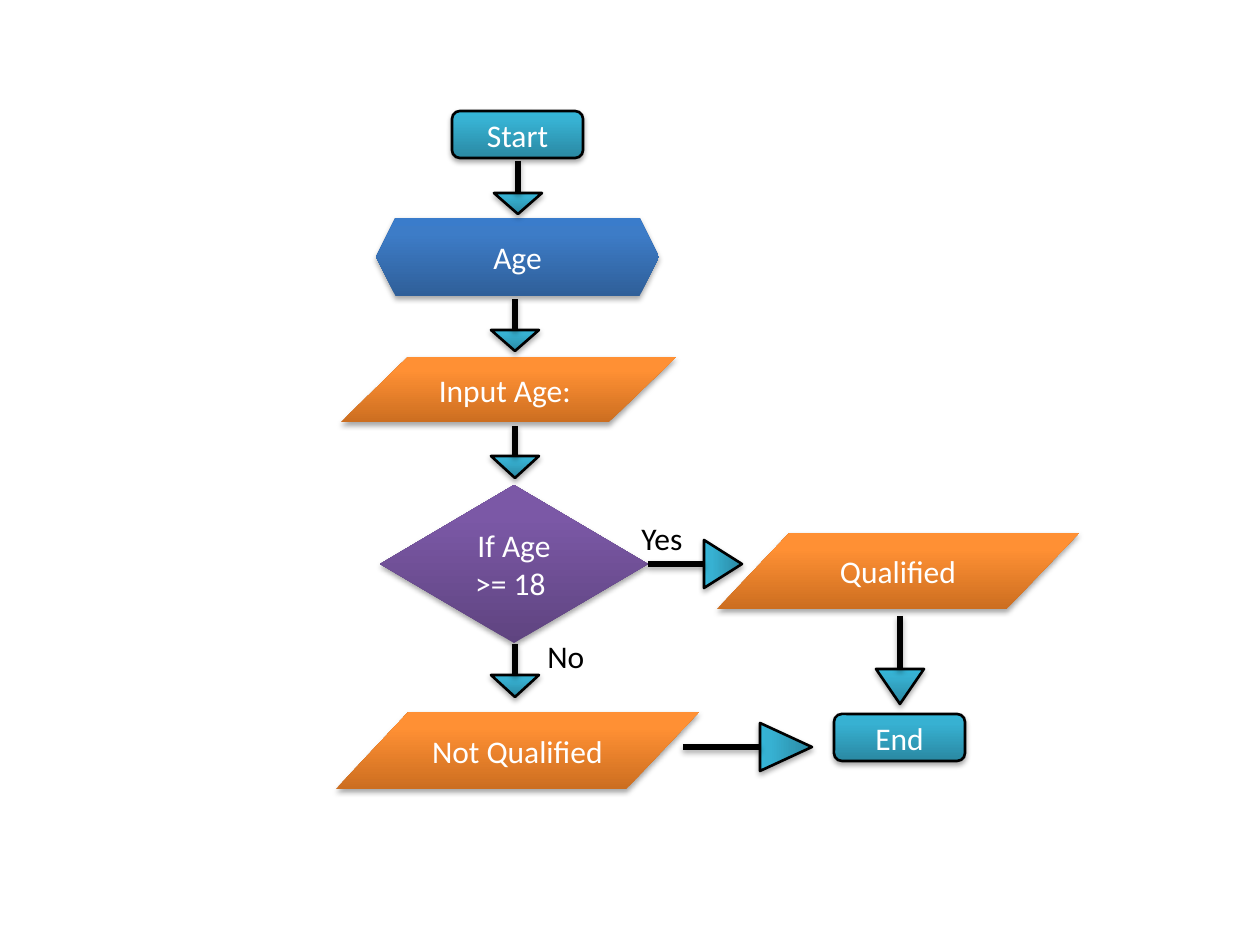
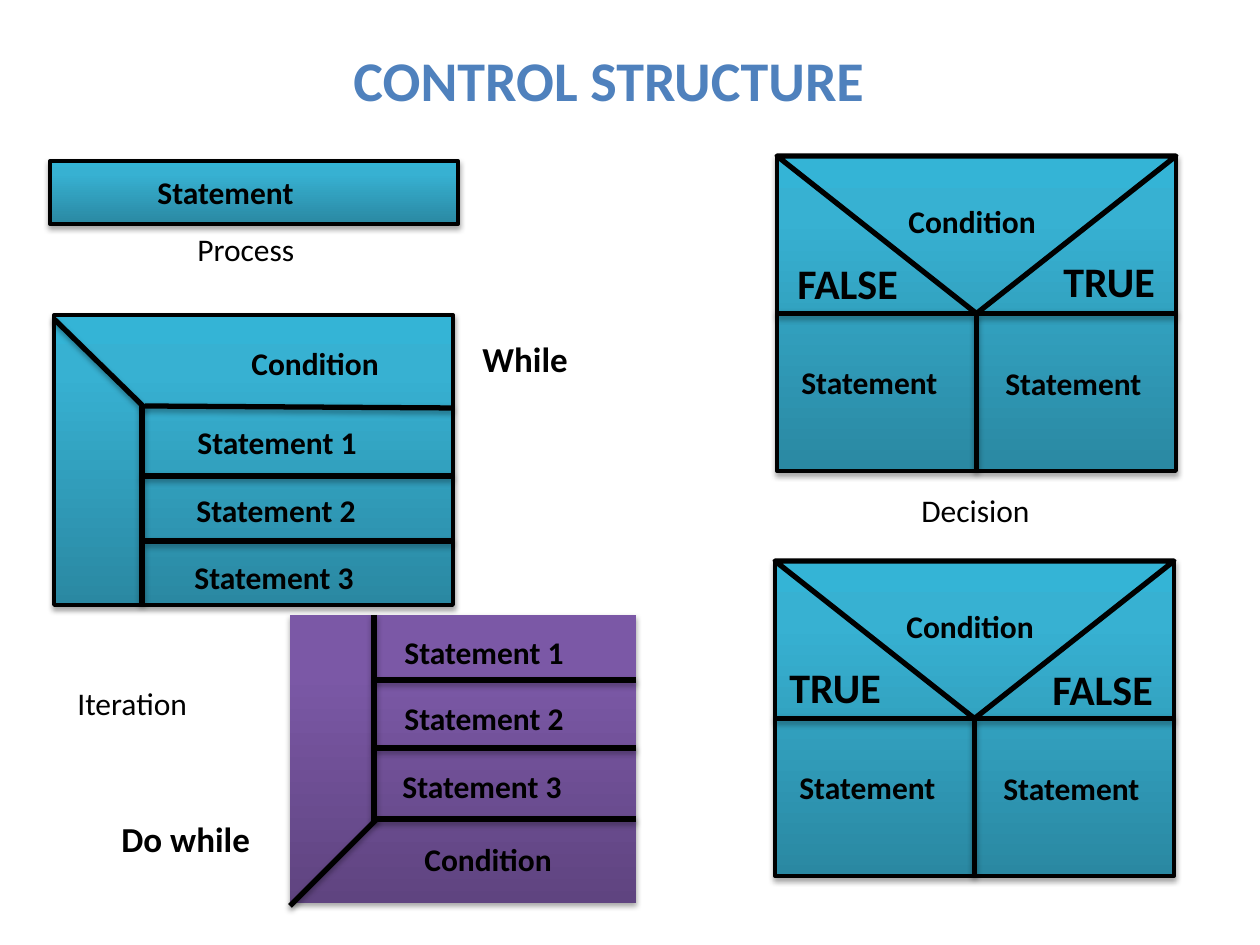
import copy
from dataclasses import dataclass

import pptx
import pptx.util
import pptx.dml.color
import pptx.enum.shapes
import pptx.enum.text
import pptx.oxml.ns
from lxml import etree

FORM = pptx.enum.shapes.MSO_SHAPE
ALIGN = pptx.enum.text.PP_ALIGN
qn = pptx.oxml.ns.qn


@dataclass(frozen=True)
class Theme:
    font: str = "Calibri"
    ink: str = "000000"
    light: str = "FFFFFF"
    title: str = "4F81BD"
    blue: tuple = ("2F5F99", "3D7CC7", "3A7CCB")
    teal: tuple = ("2A88A2", "37B1D2", "34B4D6")
    orange: tuple = ("CC6E20", "FF9034", "FF9136")
    purple: tuple = ("5F4480", "7B58A6", "7C57A8")
    stops: tuple = (0, 0.8, 1)
    body: int = 18
    label: int = 20
    flag: int = 24
    head: int = 32
    thin: float = 1.5
    edge: float = 2.25
    rule: float = 3


THEME = Theme()


def px(count):
    return round(count * 914400 / 126)


def rgb(code):
    return pptx.dml.color.RGBColor.from_string(code)


def shade(item):
    effects = etree.SubElement(item._element.spPr, qn("a:effectLst"))
    outer = etree.SubElement(effects, qn("a:outerShdw"), blurRad="40000",
                             dist="23000", dir="5400000", rotWithShape="0")
    color = etree.SubElement(outer, qn("a:srgbClr"), val=THEME.ink)
    etree.SubElement(color, qn("a:alpha"), val="35000")


def paint(shape, colors):
    fill = shape.fill
    fill.gradient()
    fill.gradient_angle = 90
    stops = shape._element.spPr.find(qn("a:gradFill")).find(qn("a:gsLst"))
    stops.append(copy.deepcopy(stops[0]))
    for stop, place, color in zip(fill.gradient_stops, THEME.stops, colors):
        stop.position = place
        stop.color.rgb = rgb(color)


def stroke(line, width):
    line.color.rgb = rgb(THEME.ink)
    line.width = pptx.util.Pt(width)


def write(frame, words, size, color, bold=False, align=ALIGN.LEFT):
    frame.word_wrap = True
    para = frame.paragraphs[0]
    para.text = words
    para.alignment = align
    para.font.name = THEME.font
    para.font.size = pptx.util.Pt(size)
    para.font.bold = bold
    para.font.color.rgb = rgb(color)


def shape(slide, form, box, colors=None, width=None, words=None):
    item = slide.shapes.add_shape(form, *map(px, box))
    if width:
        stroke(item.line, width)
    else:
        item.line.fill.background()
    if colors:
        paint(item, colors)
        shade(item)
    else:
        item.fill.background()
        item.shadow.inherit = False
    if words:
        write(item.text_frame, words, THEME.body, THEME.light, align=ALIGN.CENTER)
    return item


def note(slide, words, box, size=THEME.body, bold=True, color=THEME.ink):
    frame = slide.shapes.add_textbox(*map(px, box)).text_frame
    write(frame, words, size, color, bold)
    frame.auto_size = pptx.enum.text.MSO_AUTO_SIZE.SHAPE_TO_FIT_TEXT


def rule(slide, start, end):
    line = slide.shapes.add_connector(
        pptx.enum.shapes.MSO_CONNECTOR.STRAIGHT, *map(px, start + end))
    stroke(line.line, THEME.rule)
    shade(line)
    return line


def down(slide, x, start, neck, tip):
    head = shape(slide, FORM.FLOWCHART_MERGE, (x - 24, neck, 48, tip - neck),
                 THEME.teal, THEME.thin)
    rule(slide, (x, start), (x, neck)).end_connect(head, 0)


def right(slide, y, start, neck, tip):
    size = tip - neck
    head = shape(slide, FORM.FLOWCHART_MERGE,
                 ((neck + tip - 48) // 2, y - size // 2, 48, size),
                 THEME.teal, THEME.thin)
    head.rotation = 270
    return rule(slide, (start, y), (neck, y))


def flow(slide):
    pill, slant = FORM.FLOWCHART_ALTERNATE_PROCESS, FORM.FLOWCHART_DATA
    nodes = {}
    for words, form, box, colors, width in (
        ("Age", FORM.HEXAGON, (376, 218, 283, 78), THEME.blue, None),
        ("Start", pill, (452, 111, 131, 47), THEME.teal, THEME.thin),
        ("Input Age: ", slant, (341, 357, 335, 65), THEME.orange, None),
        ("If Age >= 18 ", FORM.FLOWCHART_DECISION, (380, 485, 268, 158),
         THEME.purple, None),
        ("End", pill, (834, 714, 131, 47), THEME.teal, THEME.thin),
        ("Qualified", slant, (717, 533, 362, 76), THEME.orange, None),
        ("Not Qualified", slant, (336, 712, 363, 77), THEME.orange, None),
    ):
        nodes[words] = shape(slide, form, box, colors, width, words)
    for stem in ((518, 161, 193, 214), (515, 299, 330, 351), (515, 426, 456, 478),
                 (515, 644, 675, 697), (900, 616, 669, 704)):
        down(slide, *stem)
    right(slide, 564, 648, 704, 742).begin_connect(nodes["If Age >= 18 "], 3)
    right(slide, 747, 683, 760, 812)
    note(slide, "Yes", (629, 513, 78, 50), bold=False)
    note(slide, "No", (535, 631, 67, 50), bold=False)


def loop(slide, box, colors, width, lines, words):
    left, top = box[:2]
    shape(slide, FORM.RECTANGLE, box, colors, width)
    for x, y, far, low in lines:
        rule(slide, (left + x, top + y), (left + far, top + low))
    for text, x, y in words:
        span = 156 if text == "Condition" else 222
        note(slide, text, (left + x, top + y, span, 50))


def choice(slide, box, flags):
    left, top, width, height = box
    half = height / 2
    frame = shape(slide, FORM.FLOWCHART_PROCESS, box, THEME.teal, THEME.edge)
    wedge = shape(slide, FORM.FLOWCHART_MERGE, (left, top, width, half),
                  width=THEME.rule)
    across = rule(slide, (left, top + half), (left + width, top + half))
    across.begin_connect(frame, 1)
    across.end_connect(frame, 3)
    split = rule(slide, (left + width / 2, top + half),
                 (left + width / 2, top + height))
    split.begin_connect(wedge, 2)
    split.end_connect(frame, 2)
    for text, x, y, span in (("Condition", 119, 40, 156),
                             ("Statement", 12, 201, 163),
                             ("Statement", 216, 202, 163)):
        note(slide, text, (left + x, top + y, span, 50))
    for text, x, y in flags:
        note(slide, text, (left + x, top + y, 135, 63), THEME.flag)


def control(slide):
    note(slide, "CONTROL STRUCTURE", (341, 39, 587, 81), THEME.head,
         color=THEME.title)
    shape(slide, FORM.FLOWCHART_PROCESS, (50, 161, 408, 63), THEME.teal, THEME.edge)
    note(slide, "Statement", (145, 167, 232, 50))
    loop(slide, (54, 315, 399, 290), THEME.teal, THEME.edge,
         ((91, 91, 399, 93), (88, 91, 88, 289), (88, 161, 399, 161),
          (91, 226, 399, 226), (0, 4, 91, 93)),
         (("Condition", 185, 23), ("Statement 1", 131, 102),
          ("Statement 2", 130, 170), ("Statement 3", 128, 237)))
    loop(slide, (290, 615, 346, 288), THEME.purple, None,
         ((84, 204, 346, 204), (84, 0, 84, 206), (84, 65, 346, 65),
          (84, 133, 346, 133), (0, 291, 87, 204)),
         (("Statement 1", 102, 12), ("Statement 2", 102, 78),
          ("Statement 3", 100, 146), ("Condition", 122, 219)))
    choice(slide, (777, 156, 399, 315), (("FALSE", 8, 95), ("TRUE", 274, 93)))
    choice(slide, (775, 561, 399, 315), (("TRUE", 2, 94), ("FALSE", 265, 96)))
    for text, box in (("Process", (185, 224, 163, 50)),
                      ("Iteration", (65, 678, 155, 50)),
                      ("Decision", (909, 485, 135, 50))):
        note(slide, text, box, bold=False)
    note(slide, "While", (470, 331, 155, 55), THEME.label)
    note(slide, "Do while", (109, 811, 181, 55), THEME.label)


def main():
    deck = pptx.Presentation()
    deck.slide_width, deck.slide_height = px(1260), px(945)
    for build in (flow, control):
        build(deck.slides.add_slide(deck.slide_layouts[6]))
    deck.save("out.pptx")


if __name__ == "__main__":
    main()
